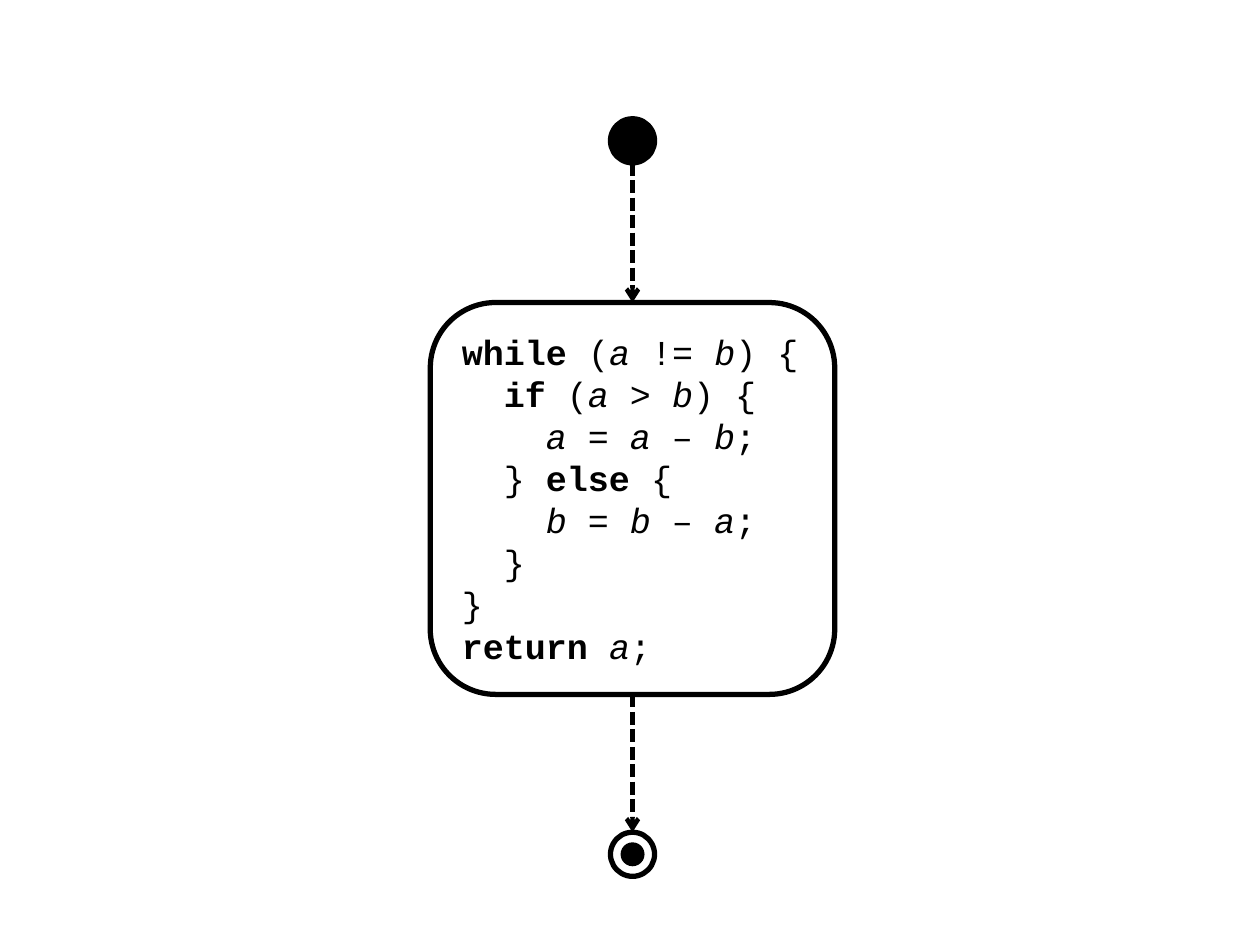
from dataclasses import dataclass
from itertools import groupby

from lxml.etree import SubElement
from pptx import Presentation
from pptx.dml.color import RGBColor
from pptx.enum.dml import MSO_LINE as Dash
from pptx.enum.shapes import MSO_CONNECTOR as Conn, MSO_SHAPE as Shape
from pptx.enum.text import MSO_ANCHOR as Anchor, PP_ALIGN as Align
from pptx.oxml.ns import qn
from pptx.util import Inches, Pt

CODE = [
    (0, "while (a != b) {"),
    (1, "if (a > b) {"),
    (2, "a = a – b;"),
    (1, "} else {"),
    (2, "b = b – a;"),
    (1, "}"),
    (0, "}"),
    (0, "return a;"),
]
KEYWORDS = {"while", "if", "else", "return"}


@dataclass(frozen=True)
class Theme:
    ink: RGBColor = RGBColor(0, 0, 0)
    font: str = "Courier New"
    size: int = 20
    outline: float = 3
    flow: float = 2.5
    indent: int = 24


T = Theme()
W, H = 10, 7.5
AXIS = W * 0.502
NODE, CORE = 0.35, 0.19
BOX_W, BOX_H = 3.21, 3.11
START_Y, BOX_Y, END_Y = H * 0.149, H * 0.5275, H * 0.904


def add_centred(s, kind, y, w, h, filled=False, outlined=True):
    sp = s.shapes.add_shape(
        kind, Inches(AXIS - w / 2), Inches(y - h / 2), Inches(w), Inches(h))
    sp.shadow.inherit = False
    if filled:
        sp.fill.solid()
        sp.fill.fore_color.rgb = T.ink
    else:
        sp.fill.background()
    if outlined:
        sp.line.color.rgb = T.ink
        sp.line.width = Pt(T.outline)
    else:
        sp.line.fill.background()
    return sp


def add_flow(s, top, bottom):
    cn = s.shapes.add_connector(
        Conn.STRAIGHT, Inches(AXIS), Inches(top), Inches(AXIS), Inches(bottom))
    cn.line.color.rgb = T.ink
    cn.line.width = Pt(T.flow)
    cn.line.dash_style = Dash.SQUARE_DOT
    SubElement(cn.line._get_or_add_ln(), qn("a:tailEnd"), type="arrow")
    SubElement(cn._element.spPr, qn("a:effectLst"))


def write_code(tf):
    tf.word_wrap = True
    tf.vertical_anchor = Anchor.MIDDLE
    for i, (level, line) in enumerate(CODE):
        p = tf.paragraphs[0] if i == 0 else tf.add_paragraph()
        p.alignment = Align.LEFT
        p._p.get_or_add_pPr().set("marL", str(Pt(T.indent * level)))
        p.font.name = T.font
        p.font.size = Pt(T.size)
        p.font.color.rgb = T.ink
        for is_word, chars in groupby(line, str.isalpha):
            r = p.add_run()
            r.text = "".join(chars)
            r.font.bold = r.text in KEYWORDS
            r.font.italic = is_word and not r.font.bold


def main():
    prs = Presentation()
    prs.slide_width, prs.slide_height = Inches(W), Inches(H)
    s = prs.slides.add_slide(prs.slide_layouts[6])
    box = add_centred(s, Shape.ROUNDED_RECTANGLE, BOX_Y, BOX_W, BOX_H)
    write_code(box.text_frame)
    add_flow(s, START_Y + NODE / 2, BOX_Y - BOX_H / 2)
    add_flow(s, BOX_Y + BOX_H / 2, END_Y - NODE / 2)
    add_centred(s, Shape.OVAL, END_Y, CORE, CORE, filled=True, outlined=False)
    add_centred(s, Shape.OVAL, END_Y, NODE, NODE)
    add_centred(s, Shape.OVAL, START_Y, NODE, NODE, filled=True)
    prs.save("out.pptx")


if __name__ == "__main__":
    main()
